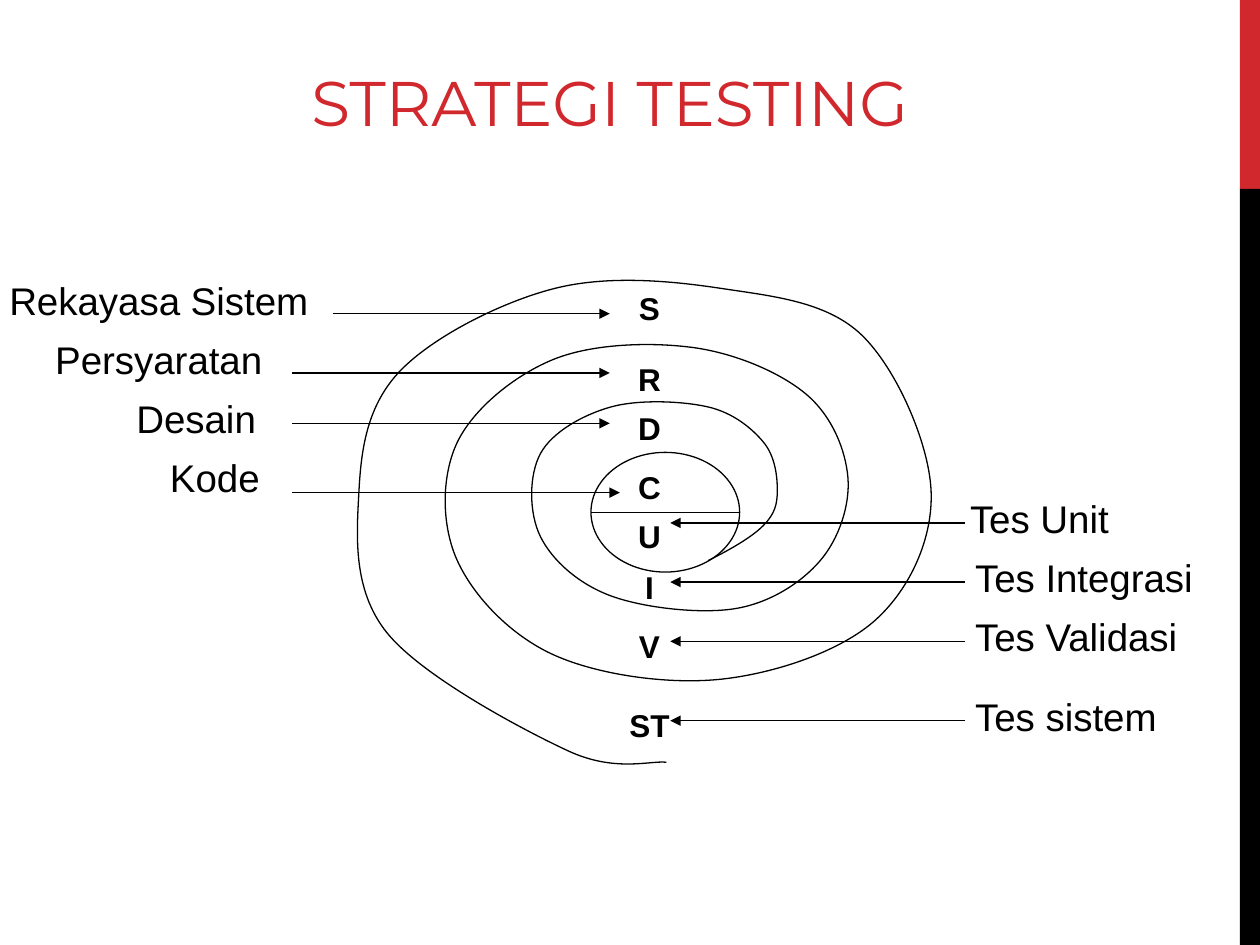
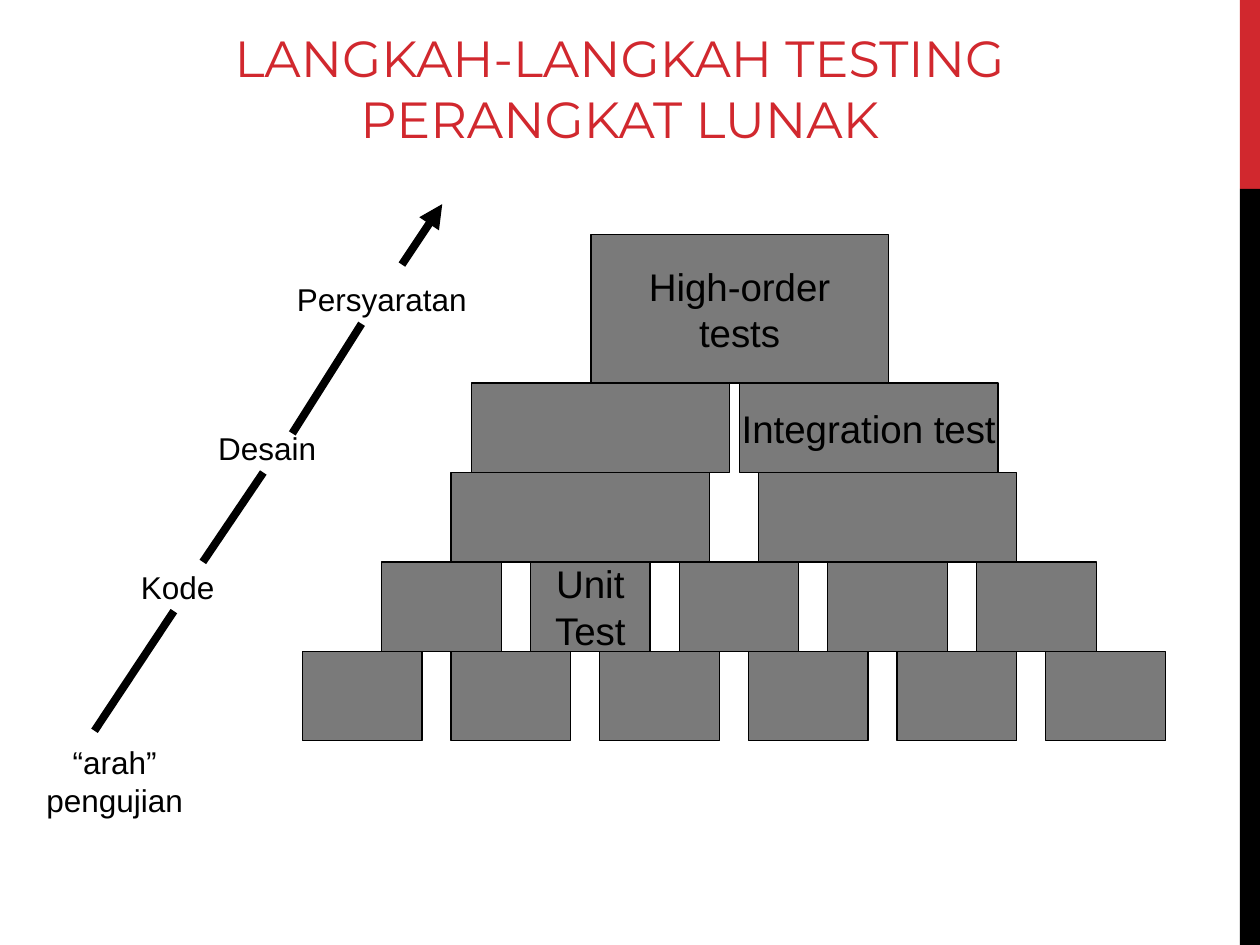
from lxml.etree import SubElement
from pptx import Presentation
from pptx.dml.color import RGBColor
from pptx.enum.shapes import MSO_CONNECTOR, MSO_SHAPE
from pptx.enum.text import MSO_ANCHOR, PP_ALIGN
from pptx.oxml.ns import qn
from pptx.util import Inches, Pt

COLORS = {"accent": "D1282E", "ink": "000000", "brick": "7A7A7A"}
TITLE_FONT = "Montserrat"
BODY_FONT = "Arial"
THIN = 0.75
THICK = 4.5

SPIRAL_LEAD_IN = (4.98, 4.71)
SPIRAL_ANCHORS = [
    (5.62, 4.45), (6.06, 4.17), (6.17, 3.89), (6.06, 3.51), (5.62, 3.23),
    (4.85, 3.23), (4.29, 3.6), (4.29, 4.26), (4.85, 4.73), (5.84, 4.83),
    (6.51, 4.45), (6.73, 3.79), (6.4, 3.13), (5.51, 2.76), (4.4, 2.85),
    (3.63, 3.51), (3.63, 4.45), (4.4, 5.2), (5.73, 5.39), (6.95, 4.92),
    (7.39, 3.89), (6.84, 2.66), (5.73, 2.29), (4.4, 2.29), (3.18, 2.94),
    (2.85, 3.89), (3.07, 5.02), (4.51, 5.96), (5.29, 6.05),
]
STAGE_LETTERS = [
    ("S", 2.25), ("R", 2.81), ("D", 3.2), ("C", 3.67),
    ("U", 4.06), ("I", 4.46), ("V", 4.93), ("ST", 5.56),
]
DEVELOPMENT_STAGES = [
    ("Rekayasa Sistem", 2.18, 2.52, PP_ALIGN.CENTER, 2.64, 4.84, 2.49),
    ("Persyaratan", 2.65, 2.52, PP_ALIGN.CENTER, 2.32, 4.84, 2.96),
    ("Desain", 3.12, 2.13, PP_ALIGN.RIGHT, 2.32, 4.84, 3.36),
    ("Kode", 3.59, 2.16, PP_ALIGN.RIGHT, 2.32, 4.92, 3.91),
]
TEST_STAGES = [
    ("Tes Unit", 7.6, 3.91, 2.01),
    ("Tes Integrasi", 7.64, 4.38, 2.52),
    ("Tes Validasi", 7.64, 4.85, 2.52),
    ("Tes sistem", 7.64, 5.48, 2.52),
]
BRICK_ROWS = [
    (2.4, 5.17, 6, 1.18, 0.95, 0.71, {}),
    (3.03, 4.46, 5, 1.18, 0.95, 0.71, {1: "Unit\nTest"}),
    (3.58, 3.75, 2, 2.44, 2.05, 0.71, {}),
    (3.74, 3.04, 2, 2.13, 2.05, 0.71, {1: "Integration test"}),
    (4.69, 1.86, 1, 0, 2.36, 1.18, {0: "High-order\ntests"}),
]
DIRECTION_LABELS = [
    ("Persyaratan", 2.32, 2.18, 1.42, 0.39),
    ("Desain", 1.61, 3.36, 1.02, 0.39),
    ("Kode", 0.9, 4.46, 1.02, 0.39),
    ("“arah”\npengujian", 0.2, 5.88, 1.42, 0.63),
]
DIRECTION_LINES = [
    ((0.75, 5.8), (1.38, 4.85), False),
    ((1.61, 4.46), (2.09, 3.75), False),
    ((2.32, 3.44), (2.87, 2.57), False),
    ((3.19, 2.1), (3.51, 1.62), True),
]


def color(name):
    return RGBColor.from_string(COLORS[name])


def write(shape, text, size, align=PP_ALIGN.CENTER, bold=False,
          font=BODY_FONT, ink="ink", anchor=MSO_ANCHOR.MIDDLE, wrap=False):
    frame = shape.text_frame
    frame.text = text
    frame.word_wrap = wrap
    frame.vertical_anchor = anchor
    if align == PP_ALIGN.CENTER:
        frame.margin_left = frame.margin_right = 0
    for paragraph in frame.paragraphs:
        paragraph.alignment = align
        for run in paragraph.runs:
            run.font.name = font
            run.font.size = Pt(size)
            run.font.bold = bold
            run.font.color.rgb = color(ink)


def add_label(slide, text, left, top, width, height, size, **style):
    box = slide.shapes.add_textbox(
        Inches(left), Inches(top), Inches(width), Inches(height))
    write(box, text, size, **style)
    return box


def paint(shape, fill=None, outlined=True):
    shape.shadow.inherit = False
    if fill:
        shape.fill.solid()
        shape.fill.fore_color.rgb = color(fill)
    else:
        shape.fill.background()
    if outlined:
        shape.line.color.rgb = color("ink")
        shape.line.width = Pt(THIN)
    else:
        shape.line.fill.background()


def add_block(slide, kind, left, top, width, height, fill=None, outlined=True):
    shape = slide.shapes.add_shape(
        kind, Inches(left), Inches(top), Inches(width), Inches(height))
    paint(shape, fill, outlined)
    return shape


def add_line(slide, start, end, width=THIN, arrow=False):
    line = slide.shapes.add_connector(
        MSO_CONNECTOR.STRAIGHT, *(Inches(value) for value in start + end))
    line.line.color.rgb = color("ink")
    line.line.width = Pt(width)
    if arrow:
        outline = line._element.spPr.find(qn("a:ln"))
        SubElement(outline, qn("a:tailEnd"), type="triangle")
    SubElement(line._element.spPr, qn("a:effectLst"))


def curve_points(anchors, lead_in):
    padded = [lead_in] + anchors + [anchors[-1]]
    points = []
    for before, start, end, after in zip(padded, padded[1:], padded[2:], padded[3:]):
        points.append(tuple(s + (e - b) / 6 for b, s, e in zip(before, start, end)))
        points.append(tuple(e - (a - s) / 6 for s, e, a in zip(start, end, after)))
        points.append(end)
    return points


def add_smooth_curve(slide, anchors, lead_in):
    start_x, start_y = anchors[0]
    builder = slide.shapes.build_freeform(Inches(start_x), Inches(start_y))
    builder.add_line_segments(
        [(Inches(x), Inches(y)) for x, y in curve_points(anchors, lead_in)],
        close=False)
    curve = builder.convert_to_shape()
    outline = next(curve._element.iter(qn("a:path")))
    segments = outline.findall(qn("a:lnTo"))
    for index in range(0, len(segments), 3):
        bezier = SubElement(outline, qn("a:cubicBezTo"))
        for segment in segments[index:index + 3]:
            bezier.append(segment[0])
            outline.remove(segment)
    paint(curve)


def add_base_slide(presentation, title, left, top, height, size):
    slide = presentation.slides.add_slide(presentation.slide_layouts[6])
    for band_top, band_height, fill in ((0, 1.5, "accent"), (1.5, 6, "ink")):
        add_block(slide, MSO_SHAPE.RECTANGLE, 9.84, band_top, 0.16,
                  band_height, fill, outlined=False)
    box = add_label(slide, title, left, top, 8.5, height, size, font=TITLE_FONT,
                    ink="accent", anchor=MSO_ANCHOR.BOTTOM, wrap=True)
    box.text_frame.margin_top = 0
    box.text_frame.margin_bottom = Inches(0.05)
    return slide


def build_strategy_slide(presentation):
    slide = add_base_slide(presentation, "STRATEGI TESTING", 0.59, 0.44, 0.71, 36)
    add_block(slide, MSO_SHAPE.OVAL, 4.69, 3.59, 1.18, 0.95)
    add_smooth_curve(slide, SPIRAL_ANCHORS, SPIRAL_LEAD_IN)
    add_line(slide, (4.69, 4.07), (5.87, 4.07))
    for letter, top in STAGE_LETTERS:
        add_label(slide, letter, 4.84, top, 0.63, 0.39, 18, bold=True)
    for text, top, width, align, start, end, line_y in DEVELOPMENT_STAGES:
        add_label(slide, text, 0, top, width, 0.4, 22, align=align)
        add_line(slide, (start, line_y), (end, line_y), arrow=True)
    for text, left, top, width in TEST_STAGES:
        add_label(slide, text, left, top, width, 0.4, 22, align=PP_ALIGN.LEFT)
        add_line(slide, (7.66, top + 0.24), (5.32, top + 0.24), arrow=True)


def build_steps_slide(presentation):
    slide = add_base_slide(presentation, "LANGKAH-LANGKAH TESTING PERANGKAT LUNAK",
                           0.67, 0.28, 0.95, 29)
    for left, top, count, pitch, width, height, labels in BRICK_ROWS:
        for index in range(count):
            brick = add_block(slide, MSO_SHAPE.RECTANGLE, left + index * pitch,
                              top, width, height, "brick")
            if index in labels:
                write(brick, labels[index], 22)
    for text, left, top, width, height in DIRECTION_LABELS:
        add_label(slide, text, left, top, width, height, 18)
    for start, end, arrow in DIRECTION_LINES:
        add_line(slide, start, end, THICK, arrow)


def main():
    presentation = Presentation()
    presentation.slide_width = Inches(10)
    presentation.slide_height = Inches(7.5)
    build_strategy_slide(presentation)
    build_steps_slide(presentation)
    presentation.save("out.pptx")


if __name__ == "__main__":
    main()
